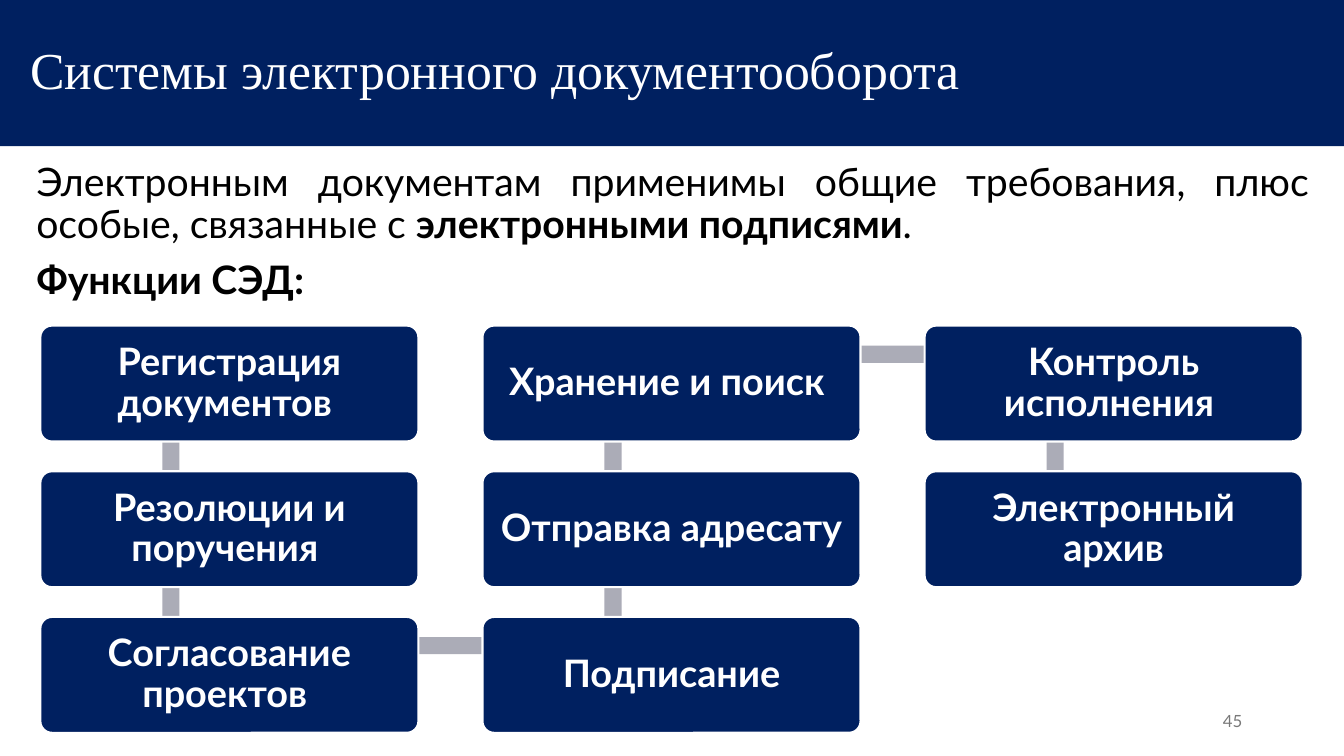
from dataclasses import dataclass

import pptx
import pptx.dml.color
import pptx.enum.shapes
import pptx.enum.text
import pptx.oxml.ns
import pptx.util
from lxml import etree

Inches = pptx.util.Inches
Pt = pptx.util.Pt
RGBColor = pptx.dml.color.RGBColor
Kind = pptx.enum.shapes.MSO_SHAPE
Align = pptx.enum.text.PP_ALIGN
Anchor = pptx.enum.text.MSO_ANCHOR

NAVY = RGBColor(0x00, 0x20, 0x60)
WHITE = RGBColor(0xFF, 0xFF, 0xFF)
BLACK = RGBColor(0x00, 0x00, 0x00)
GREY = RGBColor(0xAB, 0xAC, 0xB7)
DIM = RGBColor(0x79, 0x79, 0x79)
SANS, SERIF = "Lato", "Times New Roman"

# Grid of function boxes
LEFT, TOP = 0.4, 3.23
STEP_X, STEP_Y = 4.385, 1.445
BOX_W, BOX_H = 3.75, 1.15
BAR = 0.17


@dataclass
class Step:
    text: str
    col: int
    row: int


STEPS = [
    Step("Регистрация документов ", 0, 0),
    Step("Резолюции и поручения ", 0, 1),
    Step("Согласование проектов ", 0, 2),
    Step("Подписание", 1, 2),
    Step("Отправка адресату ", 1, 1),
    Step("Хранение и поиск ", 1, 0),
    Step("Контроль исполнения ", 2, 0),
    Step("Электронный архив", 2, 1),
]


def style(run, size: float, color: RGBColor, name: str = SANS, bold: bool = False) -> None:
    font = run.font
    font.size, font.name, font.bold = Pt(size), name, bold
    font.color.rgb = color


def place(shape, x: float, y: float, w: float, h: float) -> None:
    shape.left, shape.top = Inches(x), Inches(y)
    shape.width, shape.height = Inches(w), Inches(h)


def indent(para, first: float) -> None:
    props = para._p.get_or_add_pPr()
    props.set("marL", "0")
    props.set("indent", str(Inches(first)))
    etree.SubElement(props, pptx.oxml.ns.qn("a:buNone"))


def block(slide, kind, x: float, y: float, w: float, h: float, color: RGBColor):
    shape = slide.shapes.add_shape(kind, Inches(x), Inches(y), Inches(w), Inches(h))
    shape.shadow.inherit = False
    shape.fill.solid()
    shape.fill.fore_color.rgb = color
    shape.line.fill.background()
    return shape


def link(slide, start: Step, end: Step) -> None:
    x = LEFT + start.col * STEP_X
    y = TOP + min(start.row, end.row) * STEP_Y
    if start.col == end.col:
        block(slide, Kind.RECTANGLE, x + 1.21, y + 0.28, BAR, STEP_Y, GREY)
    else:
        block(slide, Kind.RECTANGLE, x + 1.31, y + 0.2, STEP_X, BAR, GREY)


def card(slide, step: Step) -> None:
    x, y = LEFT + step.col * STEP_X, TOP + step.row * STEP_Y
    shape = block(slide, Kind.ROUNDED_RECTANGLE, x, y, BOX_W, BOX_H, NAVY)
    shape.adjustments[0] = 0.1
    shape.line.color.rgb = WHITE
    shape.line.width = Pt(1.5)
    frame = shape.text_frame
    frame.word_wrap = True
    frame.vertical_anchor = Anchor.MIDDLE
    frame.margin_left = frame.margin_right = Inches(0.14)
    frame.margin_top = frame.margin_bottom = Inches(0.14)
    frame.text = step.text
    para = frame.paragraphs[0]
    para.alignment, para.line_spacing = Align.CENTER, 0.9
    style(para.runs[0], 27, WHITE, bold=True)


def head(slide) -> None:
    title = slide.shapes.title
    place(title, 0, 0, 13.33, 1.45)
    title.fill.solid()
    title.fill.fore_color.rgb = NAVY
    frame = title.text_frame
    frame.auto_size = pptx.enum.text.MSO_AUTO_SIZE.NONE
    frame.vertical_anchor = Anchor.MIDDLE
    frame.text = "Системы электронного документооборота"
    para = frame.paragraphs[0]
    indent(para, 0.2)
    para.alignment, para.line_spacing = Align.LEFT, 0.9
    style(para.runs[0], 37, WHITE, SERIF)


def intro(slide) -> None:
    body = slide.placeholders[1]
    place(body, 0.26, 1.56, 12.82, 4.76)
    frame = body.text_frame
    frame.auto_size = pptx.enum.text.MSO_AUTO_SIZE.NONE
    lines = [
        [("Электронным документам применимы общие требования, плюс особые, связанные с ", False),
         ("электронными подписями", True), (".", False)],
        [("Функции СЭД:", True)],
    ]
    for i, parts in enumerate(lines):
        para = frame.add_paragraph() if i else frame.paragraphs[0]
        indent(para, 0)
        para.alignment, para.line_spacing = Align.JUSTIFY, 0.9
        para.space_before = Pt(10 if i else 0)
        for text, bold in parts:
            run = para.add_run()
            run.text = text
            style(run, 28, BLACK, bold=bold)


def number(slide) -> None:
    box = slide.shapes.add_textbox(Inches(9.42), Inches(6.95), Inches(3), Inches(0.4))
    frame = box.text_frame
    frame.word_wrap = True
    frame.vertical_anchor = Anchor.MIDDLE
    frame.text = "45"
    para = frame.paragraphs[0]
    para.alignment = Align.RIGHT
    style(para.runs[0], 12, DIM)


def main() -> None:
    deck = pptx.Presentation()
    deck.slide_width, deck.slide_height = Inches(13.33), Inches(7.5)
    slide = deck.slides.add_slide(deck.slide_layouts[1])

    # Heading, text and page number
    head(slide)
    intro(slide)
    number(slide)

    # Chain of functions: each bar lies under the boxes it joins
    for i, step in enumerate(STEPS):
        if i + 1 < len(STEPS):
            link(slide, step, STEPS[i + 1])
        card(slide, step)

    deck.save("out.pptx")


if __name__ == "__main__":
    main()
